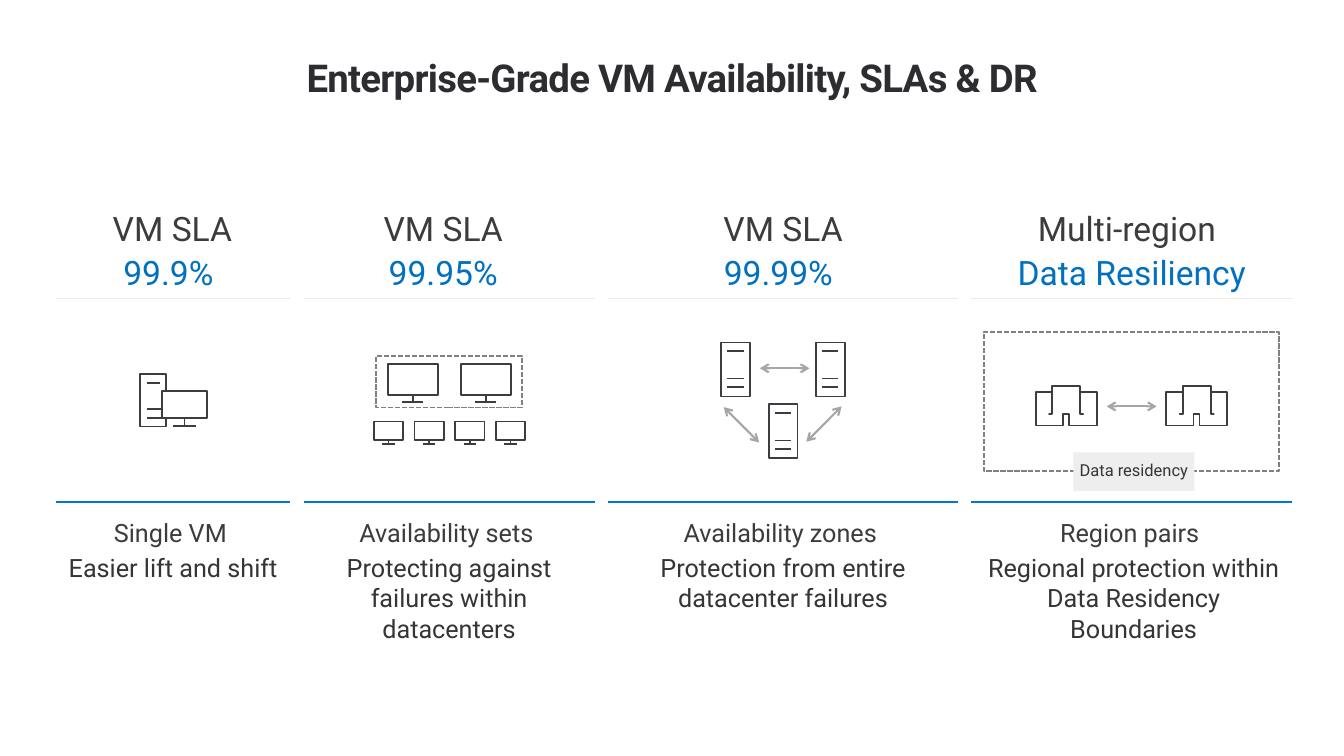
import pptx
import pptx.dml.color
import pptx.enum.dml
import pptx.enum.shapes
import pptx.enum.text
import pptx.oxml.ns
import pptx.util
from lxml import etree

Cm = pptx.util.Cm
Pt = pptx.util.Pt
RGBColor = pptx.dml.color.RGBColor
Anchor = pptx.enum.text.MSO_ANCHOR

# Colours
TITLE_INK = RGBColor(0x2D, 0x2D, 0x31)
HEADING_INK = RGBColor(0x3C, 0x3C, 0x3C)
BODY_INK = RGBColor(0x35, 0x35, 0x35)
SLA_BLUE = RGBColor(0x00, 0x70, 0xC0)
RULE_BLUE = RGBColor(0x00, 0x78, 0xD3)
RULE_GREY = RGBColor(0xEB, 0xEB, 0xEB)
ICON_INK = RGBColor(0x3C, 0x3C, 0x41)
DASH_GREY = RGBColor(0x80, 0x80, 0x80)
ARROW_GREY = RGBColor(0xA6, 0xA6, 0xA6)
LABEL_GREY = RGBColor(0xEE, 0xEE, 0xEE)

# Content: each column has a width and four texts, each with its shift from the column centre (cm)
TITLE = "Enterprise-Grade VM Availability, SLAs & DR"
RESIDENCY_LABEL = "Data residency"
COLUMNS = [
    (5.89, [("VM SLA", -0.02), ("99.9%", -0.12), ("Single VM", -0.07),
            ("Easier lift and shift", 0)]),
    (7.34, [("VM SLA", -0.15), ("99.95%", -0.15), ("Availability sets", -0.07),
            ("Protecting against failures within datacenters", 0)]),
    (8.81, [("VM SLA", 0), ("99.99%", -0.12), ("Availability zones", -0.07),
            ("Protection from entire datacenter failures", 0)]),
    (8.08, [("Multi-region", -0.12), ("Data Resiliency", 0), ("Region pairs", -0.05),
            ("Regional protection within Data Residency Boundaries", 0.05)]),
]
# Text rows: top and height (cm), size (pt), colour
ROWS = [
    (5.12, 1.26, 24, HEADING_INK),
    (6.23, 1.26, 24, SLA_BLUE),
    (12.9, 1.02, 18, HEADING_INK),
    (13.79, 2.56, 18, BODY_INK),
]
FIRST_LEFT, COLUMN_GAP = 1.42, 0.34
RULES = [(7.52, RULE_GREY), (12.65, RULE_BLUE)]

# Icons: strokes of (x, y) points in cm; the monitor is one unit wide
MONITOR = [
    [(0, 0), (1, 0), (1, 0.63), (0, 0.63), (0, 0)],
    [(0.5, 0.63), (0.5, 0.77)],
    [(0.29, 0.77), (0.71, 0.77)],
]
SERVER = [[(0, 0), (0.72, 0), (0.72, 1.36), (0, 1.36), (0, 0)]]
SERVER += [[(0.15, y), (0.56, y)] for y in (0.21, 0.91, 1.12)]
WORKSTATION = [
    [(0.56, 0.43), (1.68, 0.43), (1.68, 1.12), (0.56, 1.12), (0.56, 0.43)],
    [(1.12, 1.12), (1.12, 1.32)],
    [(0.84, 1.32), (1.4, 1.32)],
    [(0.18, 0.23), (0.51, 0.23)],
    [(0.18, 0.89), (0.56, 0.89)],
    [(0.18, 1.12), (0.56, 1.12)],
    [(0.66, 0.43), (0.66, 0), (0, 0), (0, 1.33), (0.66, 1.33), (0.66, 1.12)],
]
BUILDING = [[
    (0.69, 0.99), (0, 0.99), (0, 0.15), (0.42, 0.15), (0.42, 0.71), (0.34, 0.71),
    (0.42, 0.71), (0.42, 0), (1.12, 0), (1.12, 0.71), (1.2, 0.71), (1.12, 0.71),
    (1.12, 0.15), (1.54, 0.15), (1.54, 0.99), (0.84, 0.99), (0.84, 0.71),
    (0.69, 0.71), (0.69, 0.99),
]]
# Placed icons: strokes, left, top, scale
ICONS = [(WORKSTATION, 3.53, 9.42, 1)]
ICONS += [(MONITOR, left, 9.17, 1.25) for left in (9.78, 11.62)]
ICONS += [(MONITOR, 9.42 + 1.025 * i, 10.62, 0.74) for i in range(4)]
ICONS += [(SERVER, left, top, 1) for left, top in ((18.18, 8.63), (20.57, 8.63), (19.38, 10.19))]
ICONS += [(BUILDING, left, 9.73, 1) for left in (26.1, 29.39)]

ARROWS = [
    (19.15, 9.28, 20.4, 9.28),
    (18.24, 10.26, 19.13, 11.15),
    (21.21, 10.24, 20.32, 11.13),
    (27.89, 10.24, 29.15, 10.24),
]
DASHED_FRAMES = [(9.47, 8.97, 3.68, 1.3), (24.79, 8.36, 7.44, 3.51)]
LABEL_BOX = (27.05, 11.4, 3.05, 0.97)


def write_text(shape, text, *, size, color, bold=False, tracking=None,
               line_spacing=None, anchor=Anchor.TOP, insets=(0.25, 0.13)):
    frame = shape.text_frame
    frame.word_wrap = True
    frame.auto_size = pptx.enum.text.MSO_AUTO_SIZE.NONE
    frame.vertical_anchor = anchor
    frame.margin_left = frame.margin_right = Cm(insets[0])
    frame.margin_top = frame.margin_bottom = Cm(insets[1])
    paragraph = frame.paragraphs[0]
    paragraph.alignment = pptx.enum.text.PP_ALIGN.CENTER
    paragraph.line_spacing = line_spacing
    run = paragraph.add_run()
    run.text = text
    run.font.name = "Roboto"
    run.font.size = Pt(size)
    run.font.bold = bold
    run.font.color.rgb = color
    if tracking is not None:
        run.font._element.set("spc", str(int(tracking * 100)))


def draw_line(shapes, ends, color, width, arrows=False):
    connector = shapes.add_connector(
        pptx.enum.shapes.MSO_CONNECTOR.STRAIGHT, *[Cm(value) for value in ends])
    connector.line.color.rgb = color
    connector.line.width = Pt(width)
    if arrows:
        line = connector.line._get_or_add_ln()
        for end in ("a:headEnd", "a:tailEnd"):
            etree.SubElement(line, pptx.oxml.ns.qn(end), type="arrow")
    etree.SubElement(connector._element.spPr, pptx.oxml.ns.qn("a:effectLst"))


def draw_icon(shapes, strokes, left, top, scale):
    placed = [[(Cm(left + x * scale), Cm(top + y * scale)) for x, y in stroke]
              for stroke in strokes]
    builder = shapes.build_freeform(*placed[0][0])
    for index, stroke in enumerate(placed):
        if index:
            builder.move_to(*stroke[0])
        builder.add_line_segments(stroke[1:], close=False)
    icon = builder.convert_to_shape()
    icon.shadow.inherit = False
    icon.fill.background()
    icon.line.color.rgb = ICON_INK
    icon.line.width = Pt(1.25)


def add_rectangle(shapes, box):
    rectangle = shapes.add_shape(
        pptx.enum.shapes.MSO_SHAPE.RECTANGLE, *[Cm(value) for value in box])
    rectangle.shadow.inherit = False
    return rectangle


def main():
    presentation = pptx.Presentation()
    presentation.slide_width, presentation.slide_height = Cm(33.87), Cm(19.05)
    slide = presentation.slides.add_slide(presentation.slide_layouts[5])
    shapes = slide.shapes

    # Title
    title = shapes.title
    title.left, title.top, title.width, title.height = Cm(0), Cm(1.24), Cm(33.87), Cm(2.49)
    write_text(title, TITLE, size=27.4, color=TITLE_INK, bold=True, tracking=-0.5,
               line_spacing=0.9, insets=(0.41, 0.25))

    # Columns: rules and texts
    left = FIRST_LEFT
    for width, texts in COLUMNS:
        for y, color in RULES:
            draw_line(shapes, (left, y, left + width, y), color, 1.25)
        for (text, shift), (top, height, size, color) in zip(texts, ROWS):
            box = shapes.add_textbox(Cm(left + shift), Cm(top), Cm(width), Cm(height))
            write_text(box, text, size=size, color=color)
        left += width + COLUMN_GAP

    # Icons and arrows
    for icon in ICONS:
        draw_icon(shapes, *icon)
    for ends in ARROWS:
        draw_line(shapes, ends, ARROW_GREY, 1.5, arrows=True)

    # Dashed frames and the residency label
    for box in DASHED_FRAMES:
        frame = add_rectangle(shapes, box)
        frame.fill.background()
        frame.line.color.rgb = DASH_GREY
        frame.line.width = Pt(1.25)
        frame.line.dash_style = pptx.enum.dml.MSO_LINE.SQUARE_DOT
    label = add_rectangle(shapes, LABEL_BOX)
    label.fill.solid()
    label.fill.fore_color.rgb = LABEL_GREY
    label.line.fill.background()
    write_text(label, RESIDENCY_LABEL, size=11.8, color=BODY_INK, line_spacing=0.9,
               anchor=Anchor.MIDDLE, insets=(0, 0))

    presentation.save("out.pptx")


if __name__ == "__main__":
    main()
